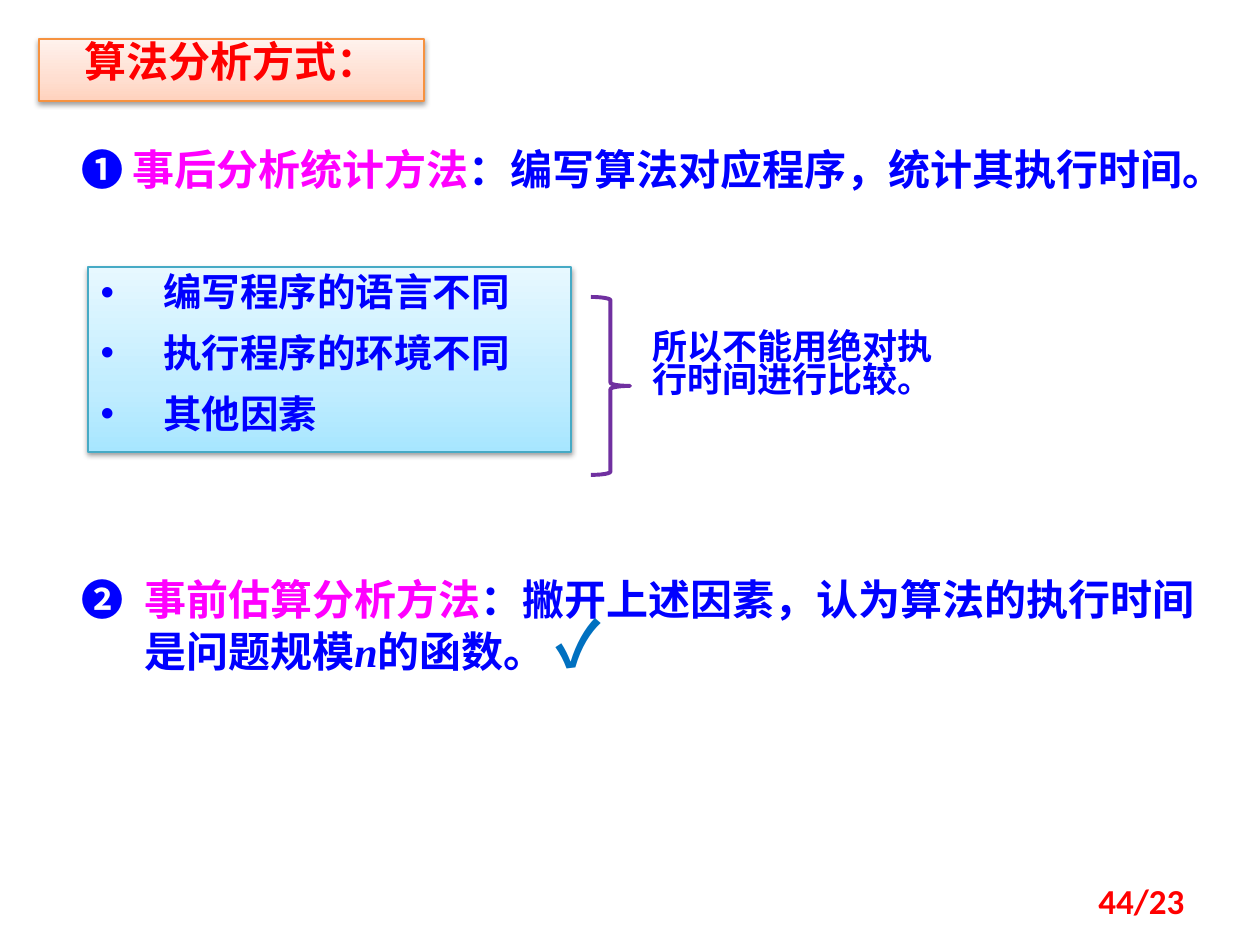
import copy

import pptx
import pptx.dml.color
import pptx.enum.shapes
import pptx.enum.text
import pptx.oxml
import pptx.oxml.ns
import pptx.util
import lxml.etree

PX = 914400 / 126  # EMU in one px
BLUE, MAGENTA, RED = "0000FF", "FF00FF", "FF0000"
SERIF, SANS, CJK = "Times New Roman", "Calibri", "Noto Sans CJK SC"
ALIGN = pptx.enum.text.PP_ALIGN
ANCHOR = pptx.enum.text.MSO_ANCHOR


def emu(px):
    return pptx.util.Emu(round(px * PX))


def rgb(value):
    return pptx.dml.color.RGBColor.from_string(value)


def place(part, box):
    part.left, part.top, part.width, part.height = map(emu, box)


def sub(parent, tag, **attributes):
    return lxml.etree.SubElement(parent, pptx.oxml.ns.qn(tag), attributes)


def write(frame, paragraphs, size=24, font=SERIF, color=BLUE, bold=True,
          align=ALIGN.LEFT, spacing=None, before=50, hanging=0, anchor=ANCHOR.TOP):
    """Fill a frame; each paragraph is a list of (text, overrides) runs."""
    frame.word_wrap = True
    frame.auto_size = pptx.enum.text.MSO_AUTO_SIZE.NONE
    frame.vertical_anchor = anchor
    for index, runs in enumerate(paragraphs):
        paragraph = frame.add_paragraph() if index else frame.paragraphs[0]
        paragraph.alignment = align
        paragraph.line_spacing = spacing
        # Space before as a share of the line height
        paragraph.space_before = pptx.util.Pt(0)
        properties = paragraph._p.get_or_add_pPr()
        space = properties.find(pptx.oxml.ns.qn("a:spcBef"))
        space.remove(space[0])
        sub(space, "a:spcPct", val=str(before * 1000))
        if hanging:
            properties.set("marL", str(emu(hanging)))
            properties.set("indent", str(-emu(hanging)))
        for text, changes in runs:
            run = paragraph.add_run()
            run.text = text
            run.font.size = pptx.util.Pt(changes.get("size", size))
            run.font.bold = bold
            run.font.italic = changes.get("italic", False)
            run.font.color.rgb = rgb(changes.get("color", color))
            run.font.name = font
            sub(run._r.get_or_add_rPr(), "a:ea", typeface=CJK)


def add_text(slide, box, paragraphs, **style):
    write(slide.shapes.add_textbox(*map(emu, box)).text_frame, paragraphs, **style)


def style_panel(panel, stops, line):
    """Upward gradient, thin outline and a soft shadow below."""
    panel.fill.gradient()
    panel.fill.gradient_angle = 90
    stop_list = panel.fill._fill._gradFill.find(pptx.oxml.ns.qn("a:gsLst"))
    stop_list.insert(1, copy.deepcopy(stop_list[0]))
    for stop, (position, color) in zip(panel.fill.gradient_stops, stops):
        stop.color.rgb = rgb(color)
        stop.color.brightness = 0
        stop.position = position
    panel.line.color.rgb = rgb(line)
    panel.line.width = pptx.util.Pt(0.75)
    effects = sub(panel._element.spPr, "a:effectLst")
    shadow = sub(effects, "a:outerShdw", blurRad="40000", dist="20000",
                 dir="5400000", rotWithShape="0")
    sub(sub(shadow, "a:srgbClr", val="000000"), "a:alpha", val="38000")


def add_heading(slide, box):
    heading = slide.shapes.title
    place(heading, box)
    style_panel(heading, [(0, "FFD2BD"), (0.35, "FFDED0"), (1, "FFF2ED")], "F69240")
    write(heading.text_frame, [[("算法分析方式：", {})]], font=CJK, color=RED,
          align=ALIGN.CENTER, spacing=0.8)


def add_post_analysis(slide, box):
    left, top, width, _ = box
    add_text(slide, (left, top, width, 69),
             [[("❶ ", {}), ("事后分析统计方法", {"color": MAGENTA}),
               ("：编写算法对应程序，统计其执行时间。", {})]], spacing=0.8)

    # Factors that make measured times differ
    factors = slide.placeholders[1]
    place(factors, (left + 19, top + 120, 483, 185))
    style_panel(factors, [(0, "A7E6FF"), (0.35, "C1EDFF"), (1, "E7F8FF")], "46AAC5")
    items = ["编写程序的语言不同", "执行程序的环境不同", "其他因素"]
    write(factors.text_frame, [[(item, {})] for item in items], size=22, font=SANS,
          align=ALIGN.JUSTIFY, spacing=0.9, hanging=63)

    # Brace leading to the conclusion
    brace = slide.shapes.add_shape(pptx.enum.shapes.MSO_SHAPE.RIGHT_BRACE,
                                   *map(emu, (left + 522, top + 150, 39, 178)))
    brace.shadow.inherit = False
    brace.fill.background()
    brace.line.color.rgb = rgb("7030A0")
    brace.line.width = pptx.util.Pt(2.25)
    add_text(slide, (left + 571, top + 179, 335, 106),
             [[("所以不能用绝对执行时间进行比较。", {})]], size=20, spacing=0.8)


def add_prior_estimate(slide, box):
    add_text(slide, box,
             [[("❷\t", {}), ("事前估算分析方法", {"color": MAGENTA}),
               ("：撇开上述因素，认为算法的执行时间是问题规模", {}),
               ("n", {"italic": True}), ("的函数。 ", {}),
               ("✓", {"size": 36, "color": "0070C0"})]],
             spacing=pptx.util.Pt(32), hanging=63)


def add_page_number(slide, box):
    add_text(slide, box, [[("44/23", {})]], size=20, font=SANS, color=RED,
             align=ALIGN.RIGHT, before=0, anchor=ANCHOR.MIDDLE)


def main():
    deck = pptx.Presentation()
    deck.slide_width, deck.slide_height = emu(1260), emu(945)
    slide = deck.slides.add_slide(deck.slide_layouts[1])
    add_heading(slide, (39, 39, 385, 62))
    add_post_analysis(slide, (69, 147, 1162, 328))
    add_prior_estimate(slide, (69, 562, 1152, 126))
    add_page_number(slide, (903, 876, 294, 50))
    deck.save("out.pptx")


if __name__ == "__main__":
    main()
